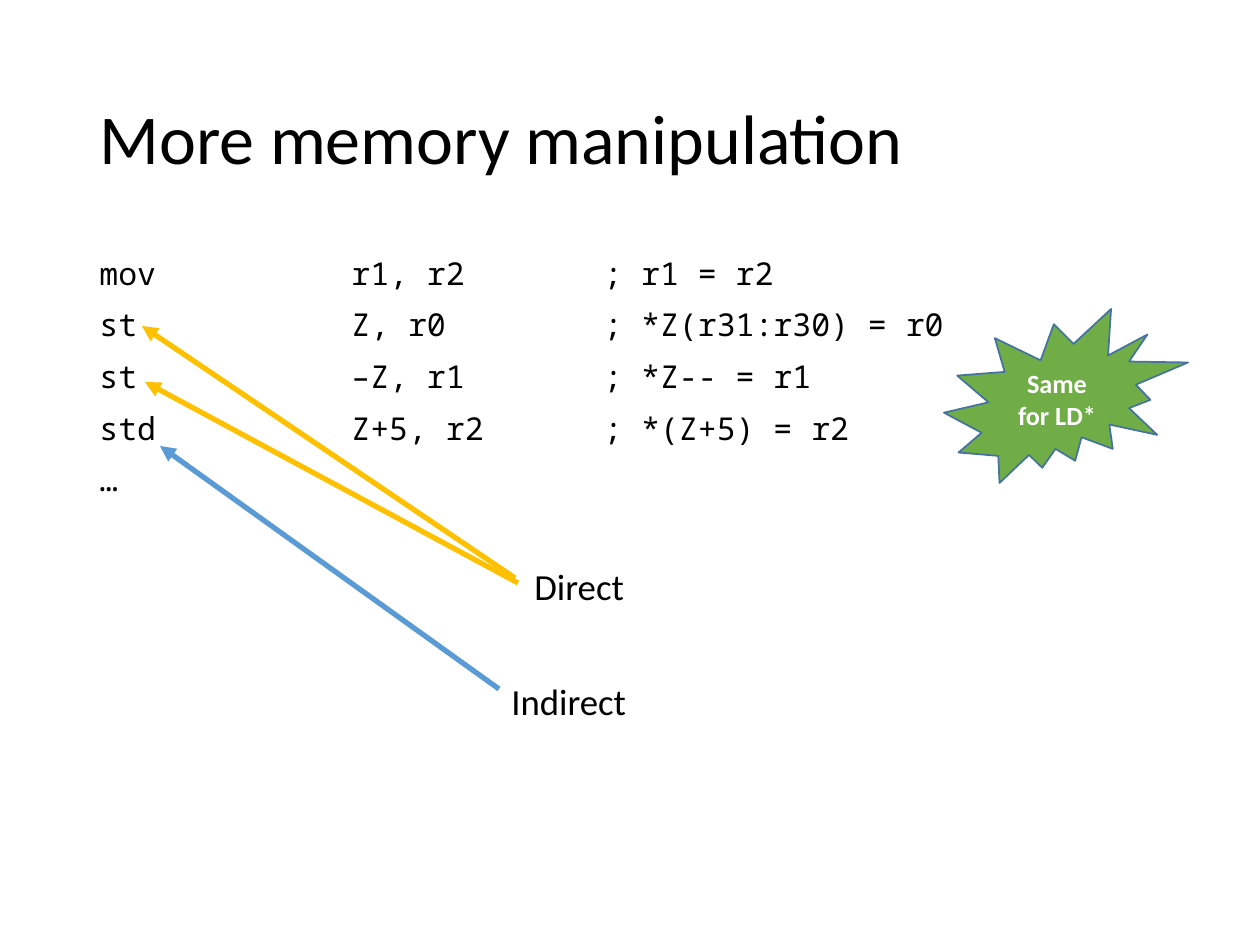
from dataclasses import dataclass

from lxml.etree import SubElement
from pptx import Presentation
from pptx.dml.color import RGBColor as RGB
from pptx.enum.shapes import MSO_CONNECTOR as LINE, MSO_SHAPE as SHAPE
from pptx.enum.text import MSO_ANCHOR as ANCHOR, PP_ALIGN as ALIGN
from pptx.oxml.ns import qn
from pptx.util import Pt

SCALE = 914400 / 126


@dataclass(frozen=True)
class Theme:
    sans: str = "Calibri"
    mono: str = "Noto Sans Mono"
    title: int = 40
    code: int = 18
    label: int = 21
    burst: int = 15
    ink: str = "000000"
    white: str = "FFFFFF"
    green: str = "70AD47"
    outline: str = "43739E"
    direct: str = "FFC000"
    indirect: str = "5B9BD5"


T = Theme()

TITLE = "More memory manipulation"
CODE = [
    ("mov", "r1, r2", "; r1 = r2"),
    ("st", "Z, r0", "; *Z(r31:r30) = r0"),
    ("st", "–Z, r1", "; *Z-- = r1"),
    ("std", "Z+5, r2", "; *(Z+5) = r2"),
    ("…",),
]
CODE_COLUMN = 252
BURST = "Same for LD*"
LABELS = [("Direct", 522, 558), ("Indirect", 499, 673)]
ARROWS = [
    ((515, 578), (142, 326), T.direct),
    ((518, 583), (145, 382), T.direct),
    ((499, 689), (160, 446), T.indirect),
]


def px(*lengths):
    return [round(n * SCALE) for n in lengths]


def style(p, size, font=T.sans, color=T.ink, bold=False):
    p.font.size, p.font.name, p.font.bold = Pt(size), font, bold
    p.font.color.rgb = RGB.from_string(color)


def add_text(slide, box, lines, size, font=T.sans, spacing=1.0, before=0,
             tabs=(), anchor=ANCHOR.TOP):
    tf = slide.shapes.add_textbox(*px(*box)).text_frame
    tf.word_wrap, tf.vertical_anchor = True, anchor
    for i, line in enumerate(lines):
        p = tf.add_paragraph() if i else tf.paragraphs[0]
        p.text, p.line_spacing = line, spacing
        p.space_before = Pt(before if i else 0)
        if tabs:
            tab_list = SubElement(p._p.get_or_add_pPr(), qn("a:tabLst"))
            for pos in px(*tabs):
                SubElement(tab_list, qn("a:tab"), pos=str(pos), algn="l")
        style(p, size, font)


def add_burst(slide, box, text):
    sp = slide.shapes.add_shape(SHAPE.EXPLOSION2, *px(*box))
    sp.shadow.inherit = False
    sp.fill.solid()
    sp.fill.fore_color.rgb = RGB.from_string(T.green)
    sp.line.color.rgb = RGB.from_string(T.outline)
    sp.line.width = Pt(1)
    tf = sp.text_frame
    tf.word_wrap, tf.vertical_anchor = True, ANCHOR.MIDDLE
    p = tf.paragraphs[0]
    p.text, p.alignment = text, ALIGN.CENTER
    style(p, T.burst, color=T.white, bold=True)


def add_arrow(slide, start, end, color):
    arrow = slide.shapes.add_connector(LINE.STRAIGHT, *px(*start, *end))
    arrow.line.color.rgb = RGB.from_string(color)
    arrow.line.width = Pt(3)
    SubElement(arrow.line._get_or_add_ln(), qn("a:tailEnd"), type="triangle")
    SubElement(arrow._element.spPr, qn("a:effectLst"))


def main():
    prs = Presentation()
    prs.slide_width, prs.slide_height = px(1260, 945)
    slide = prs.slides.add_slide(prs.slide_layouts[6])

    add_text(slide, (87, 50, 1086, 183), [TITLE], T.title, spacing=0.9,
             anchor=ANCHOR.MIDDLE)
    add_text(slide, (87, 252, 1086, 600), ["\t".join(row) for row in CODE],
             T.code, T.mono, spacing=0.9, before=10,
             tabs=(CODE_COLUMN, 2 * CODE_COLUMN))
    add_burst(slide, (944, 309, 244, 174), BURST)
    for arrow in ARROWS:
        add_arrow(slide, *arrow)
    for text, left, top in LABELS:
        add_text(slide, (left, top, 232, 57), [text], T.label)

    prs.save("out.pptx")


if __name__ == "__main__":
    main()
